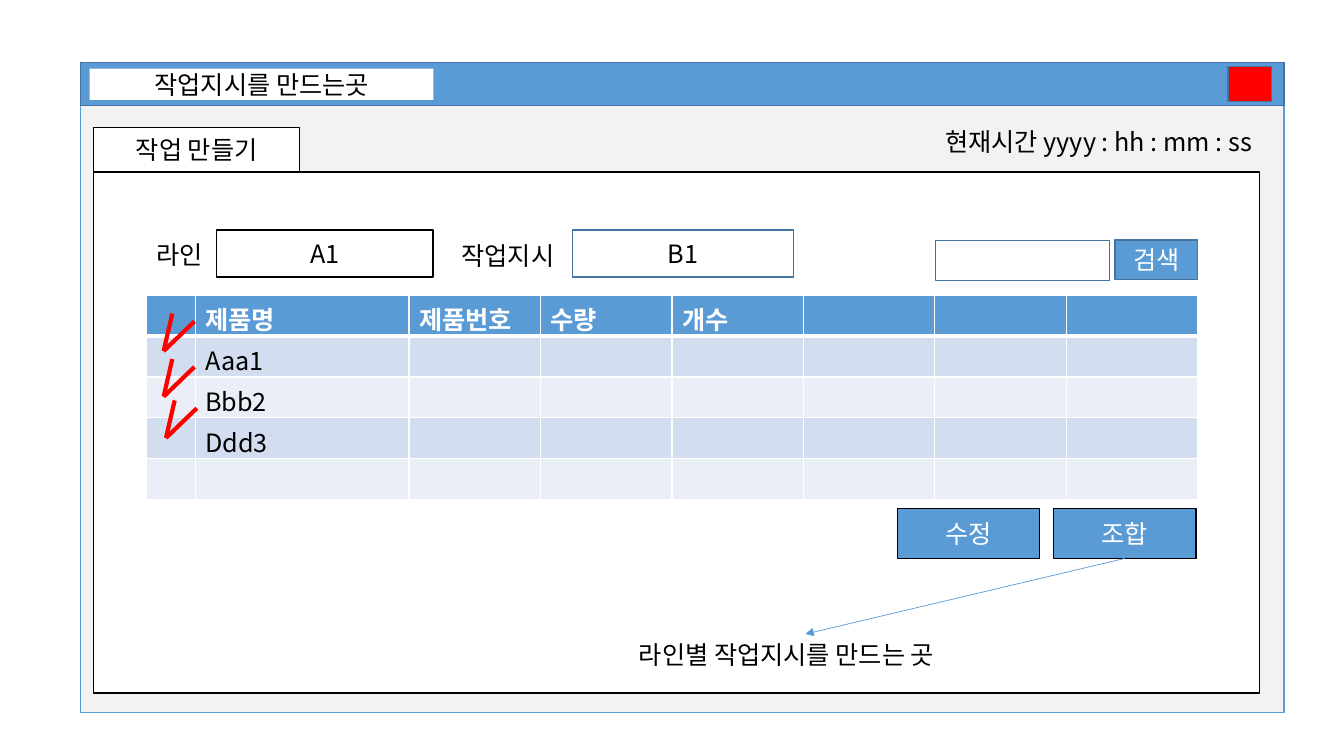
"""Builds a wireframe slide of a work-order creation window."""
from lxml import etree
from pptx import Presentation
from pptx.dml.color import RGBColor
from pptx.enum.shapes import MSO_CONNECTOR, MSO_SHAPE
from pptx.enum.text import MSO_ANCHOR, MSO_AUTO_SIZE, PP_ALIGN
from pptx.oxml import parse_xml
from pptx.oxml.ns import nsdecls, qn
from pptx.util import Pt

RECTANGLE = MSO_SHAPE.RECTANGLE
STRAIGHT = MSO_CONNECTOR.STRAIGHT
MIDDLE = MSO_ANCHOR.MIDDLE
CENTER = PP_ALIGN.CENTER
FIT_TEXT = MSO_AUTO_SIZE.SHAPE_TO_FIT_TEXT

BLUE = RGBColor(0x5B, 0x9B, 0xD5)
DARK_BLUE = RGBColor(0x43, 0x73, 0x9E)
BAND_DARK = RGBColor(0xD2, 0xDE, 0xEF)
BAND_LIGHT = RGBColor(0xEA, 0xEF, 0xF7)
GREY = RGBColor(0xF2, 0xF2, 0xF2)
WHITE = RGBColor(0xFF, 0xFF, 0xFF)
BLACK = RGBColor(0, 0, 0)
RED = RGBColor(0xFF, 0, 0)
FONT = "Noto Sans CJK KR"


def write(frame, text, color, bold=False):
    frame.text = text
    for span in frame.paragraphs[0].runs:
        span.font.size = Pt(18)
        span.font.name = FONT
        span.font.bold = bold
        span.font.color.rgb = color
        east_asian = etree.SubElement(span.font._element, qn("a:ea"))
        east_asian.set("typeface", FONT)


def draw_line(start, end, color, width):
    line = page.shapes.add_connector(STRAIGHT, *map(Pt, start + end))
    line.line.color.rgb = color
    line.line.width = Pt(width)
    etree.SubElement(line._element.spPr, qn("a:effectLst"))
    return line


deck = Presentation()
deck.slide_width, deck.slide_height = Pt(960), Pt(540)
page = deck.slides.add_slide(deck.slide_layouts[6])

boxes = [
    ("", 57.6, 44.6, 859.7, 464.4, GREY, BLUE),
    ("", 67, 122.9, 832.6, 372.2, WHITE, BLACK),
    ("", 57.6, 44.6, 859.7, 31, BLUE, DARK_BLUE),
    ("작업지시를 만드는곳", 64.1, 49, 245.5, 22.3, WHITE, None),
    ("작업 만들기", 67, 90.9, 146.9, 31.7, WHITE, BLACK),
    ("수정", 641, 363.4, 101.7, 35.5, BLUE, BLACK),
    ("조합", 752.5, 363.4, 101.7, 35.5, BLUE, BLACK),
    ("검색", 796.5, 171.4, 59, 28.1, BLUE, DARK_BLUE),
    ("A1", 154.8, 164.2, 154.6, 33.8, WHITE, BLACK),
    ("B1", 409, 164.2, 157.7, 33.8, WHITE, DARK_BLUE),
    ("", 668.2, 171.6, 124.4, 28.6, WHITE, DARK_BLUE),
    ("", 877.2, 47.5, 31, 25.2, RED, DARK_BLUE),
]
placed = {}
for text, left, top, width, height, fill, outline in boxes:
    box = page.shapes.add_shape(RECTANGLE, Pt(left), Pt(top), Pt(width), Pt(height))
    box.shadow.inherit = False
    box.fill.solid()
    box.fill.fore_color.rgb = fill
    if outline is None:
        box.line.fill.background()
    else:
        box.line.color.rgb = outline
        box.line.width = Pt(1)
    if text:
        write(box.text_frame, text, WHITE if fill == BLUE else BLACK)
        box.text_frame.vertical_anchor = MIDDLE
        box.text_frame.paragraphs[0].alignment = CENTER
        placed[text] = box

labels = [
    ("현재시간 yyyy : hh : mm : ss", 668.2, 86.4, 249.1),
    ("라인별 작업지시를 만드는 곳", 449.3, 452.9, 252),
    ("라인", 104.4, 167.4, 51.1),
    ("작업지시", 322.6, 168.2, 87.1),
]
for text, left, top, width in labels:
    label = page.shapes.add_textbox(Pt(left), Pt(top), Pt(width), Pt(29))
    write(label.text_frame, text, BLACK)
    label.text_frame.word_wrap = False
    label.text_frame.auto_size = FIT_TEXT
    placed[text] = label

arrow = draw_line((803.35, 398.9), (575.3, 452.9), BLUE, 0.5)
arrow.begin_connect(placed["조합"], 2)
arrow.end_connect(placed["라인별 작업지시를 만드는 곳"], 0)
etree.SubElement(arrow.line._get_or_add_ln(), qn("a:tailEnd")).set("type", "triangle")

columns = [34.7, 152.8] + [93.9] * 6
rows = [
    ["", "제품명", "제품번호", "수량", "개수"],
    ["", "Aaa1"],
    ["", "Bbb2"],
    ["", "Ddd3"],
    [],
]
row_height = 29.2
table = page.shapes.add_table(
    len(rows), len(columns), Pt(104.7), Pt(210.9),
    Pt(sum(columns)), Pt(row_height * len(rows))).table
for column, width in zip(table.columns, columns):
    column.width = Pt(width)
for row_index, texts in enumerate(rows):
    table.rows[row_index].height = Pt(row_height)
    header = row_index == 0
    band = BLUE if header else BAND_DARK if row_index % 2 else BAND_LIGHT
    for column_index in range(len(columns)):
        cell = table.cell(row_index, column_index)
        if column_index < len(texts) and texts[column_index]:
            write(cell.text_frame, texts[column_index], WHITE if header else BLACK, header)
        properties = cell._tc.get_or_add_tcPr()
        for side in "LRTB":
            thick = (row_index, side) in ((0, "B"), (1, "T"))
            properties.append(parse_xml(
                f'<a:ln{side} {nsdecls("a")} w="{Pt(3 if thick else 1)}"><a:solidFill>'
                f'<a:srgbClr val="{WHITE}"/></a:solidFill></a:ln{side}>'))
        cell.fill.solid()
        cell.fill.fore_color.rgb = band

for left, top in [(116.9, 224), (116.9, 256.5), (118.6, 286)]:
    corner = (left, top + 26.8)
    draw_line((left + 6.2, top), corner, RED, 3)
    draw_line(corner, (left + 22, top + 5.6), RED, 3)

deck.save("out.pptx")
